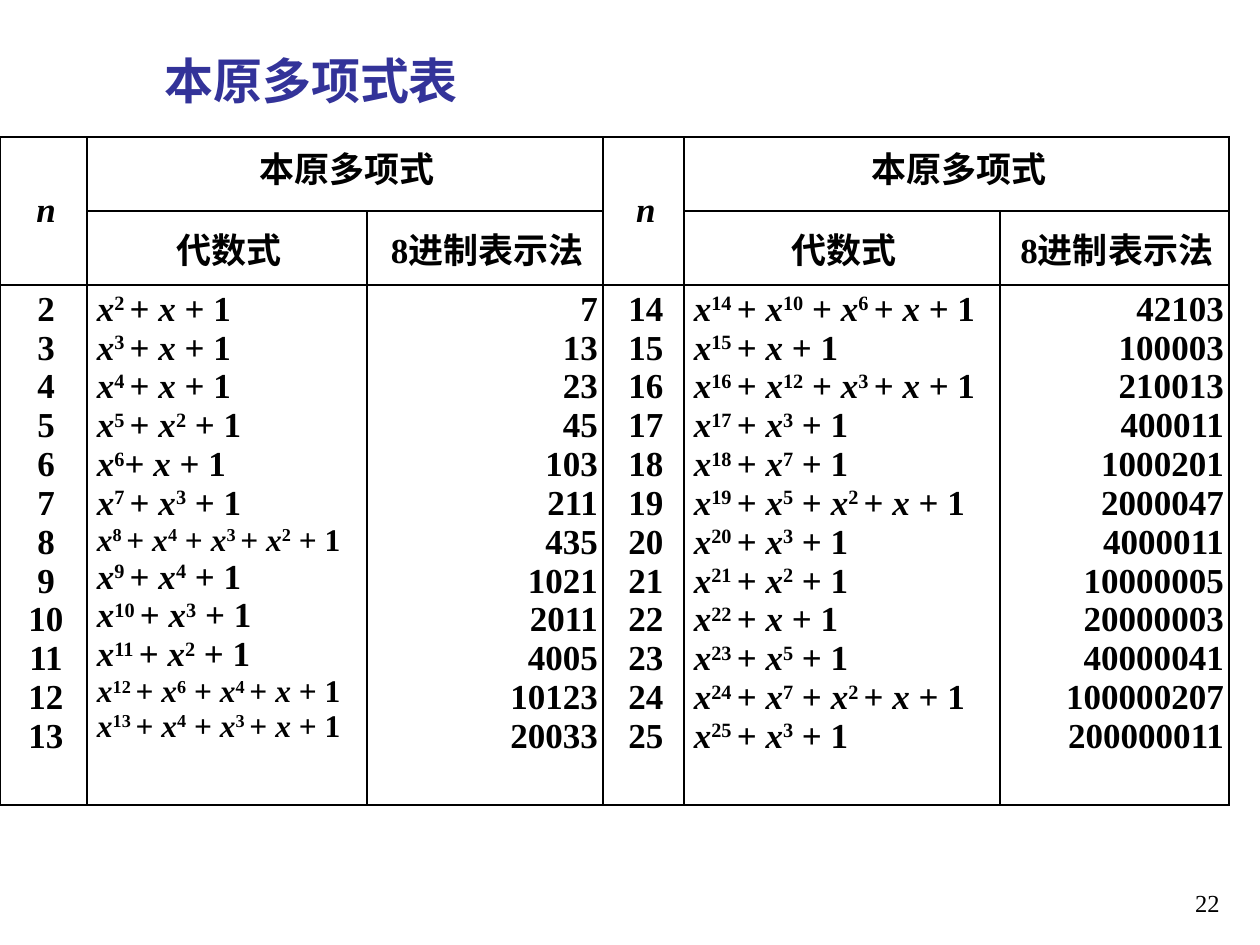
from typing import NamedTuple

from pptx import Presentation
from pptx.dml.color import RGBColor
from pptx.enum.text import MSO_ANCHOR as Anchor, MSO_AUTO_SIZE as Fit, PP_ALIGN as Align
from pptx.oxml.ns import qn
from pptx.util import Emu, Pt
from lxml.etree import SubElement, Element

SERIF, SANS = "Times New Roman", "Noto Sans CJK SC"
BLACK, WHITE, BLUE = "000000", "FFFFFF", "333399"
COLS = (87, 280, 236, 81, 316, 229)
ROWS = (74, 74, 520)


class Poly(NamedTuple):
    powers: tuple[int, ...]
    octal: str
    size: int = 20
    gap: str = " "


class Head(NamedTuple):
    row: int
    col: int
    text: str
    down: int = 0
    over: int = 0
    slant: bool = False
    anchor: Anchor = Anchor.MIDDLE


LEFT = (
    Poly((2, 1), "7"),
    Poly((3, 1), "13"),
    Poly((4, 1), "23"),
    Poly((5, 2), "45"),
    Poly((6, 1), "103", gap=""),
    Poly((7, 3), "211"),
    Poly((8, 4, 3, 2), "435", 18),
    Poly((9, 4), "1021"),
    Poly((10, 3), "2011"),
    Poly((11, 2), "4005"),
    Poly((12, 6, 4, 1), "10123", 18),
    Poly((13, 4, 3, 1), "20033", 18),
)
RIGHT = (
    Poly((14, 10, 6, 1), "42103"),
    Poly((15, 1), "100003"),
    Poly((16, 12, 3, 1), "210013"),
    Poly((17, 3), "400011"),
    Poly((18, 7), "1000201"),
    Poly((19, 5, 2, 1), "2000047"),
    Poly((20, 3), "4000011"),
    Poly((21, 2), "10000005"),
    Poly((22, 1), "20000003"),
    Poly((23, 5), "40000041"),
    Poly((24, 7, 2, 1), "100000207"),
    Poly((25, 3), "200000011"),
)


def px(n: int) -> Emu:
    return Emu(round(n * 914400 / 126))


def color(code: str) -> RGBColor:
    return RGBColor.from_string(code)


def style(para, size: int, align=Align.LEFT, bold=True, face=SERIF, ink=BLACK) -> None:
    para.alignment = align
    font = para.font
    font.size, font.bold, font.name = Pt(size), bold, face
    font.color.rgb = color(ink)
    SubElement(font._element, qn("a:ea"), typeface=SANS)


def write(frame, lines: list[str], align: Align, slant=False) -> None:
    for i, line in enumerate(lines):
        para = frame.paragraphs[0] if i == 0 else frame.add_paragraph()
        para.text = line
        style(para, 20, align)
        para.font.italic = slant


def add_run(para, text: str, slant=False, raised=False) -> None:
    run = para.add_run()
    run.text = text
    run.font.italic = slant
    if raised:
        run.font._element.set("baseline", "30000")


def write_polys(frame, polys: tuple[Poly, ...]) -> None:
    for i, poly in enumerate(polys):
        para = frame.paragraphs[0] if i == 0 else frame.add_paragraph()
        style(para, poly.size)
        for k, power in enumerate(poly.powers):
            add_run(para, "x", slant=True)
            last = k == len(poly.powers) - 1
            even = k % 2 == 0
            if power > 1:
                add_run(para, f"{power}{poly.gap if even else ''}", raised=True)
            add_run(para, " + 1" if last else "+ " if even else " + ")


def frame_cell(cell) -> None:
    cell.fill.solid()
    cell.fill.fore_color.rgb = color(WHITE)
    cell.margin_left = px(10)
    cell.margin_right = cell.margin_top = cell.margin_bottom = px(5)
    props = cell._tc.get_or_add_tcPr()
    for i, side in enumerate(("a:lnL", "a:lnR", "a:lnT", "a:lnB")):
        line = Element(qn(side), w=str(Pt(1)))
        fill = SubElement(line, qn("a:solidFill"))
        SubElement(fill, qn("a:srgbClr"), val=BLACK)
        props.insert(i, line)


def add_grid(slide) -> None:
    grid = slide.shapes.add_table(
        len(ROWS), len(COLS), px(0), px(137), px(sum(COLS)), px(sum(ROWS))
    ).table
    for col, wide in zip(grid.columns, COLS):
        col.width = px(wide)
    for row, high in zip(grid.rows, ROWS):
        row.height = px(high)
    for cell in grid.iter_cells():
        frame_cell(cell)
    for start, polys in ((0, LEFT), (3, RIGHT)):
        heads = (
            Head(0, start, "n", down=1, slant=True),
            Head(0, start + 1, "本原多项式", over=1, anchor=Anchor.TOP),
            Head(1, start + 1, "代数式"),
            Head(1, start + 2, "8进制表示法"),
        )
        for head in heads:
            cell = grid.cell(head.row, head.col)
            if head.down or head.over:
                cell.merge(grid.cell(head.row + head.down, head.col + head.over))
            cell.vertical_anchor = head.anchor
            write(cell.text_frame, [head.text], Align.CENTER, head.slant)
        count, terms, octal = (grid.cell(2, start + k).text_frame for k in range(3))
        write(count, [str(poly.powers[0]) for poly in polys], Align.CENTER)
        write_polys(terms, polys)
        write(octal, [poly.octal for poly in polys], Align.RIGHT)


def add_box(slide, x: int, y: int, w: int, h: int, text: str):
    frame = slide.shapes.add_textbox(px(x), px(y), px(w), px(h)).text_frame
    frame.word_wrap = True
    frame.text = text
    return frame


def main() -> None:
    deck = Presentation()
    deck.slide_width, deck.slide_height = px(1260), px(945)
    slide = deck.slides.add_slide(deck.slide_layouts[6])
    page = add_box(slide, 970, 861, 262, 63, "22")
    page.vertical_anchor = Anchor.BOTTOM
    style(page.paragraphs[0], 14, Align.RIGHT, bold=False)
    add_grid(slide)
    title = add_box(slide, 152, 44, 527, 72, "本原多项式表")
    title.auto_size = Fit.SHAPE_TO_FIT_TEXT
    style(title.paragraphs[0], 28, face=SANS, ink=BLUE)
    deck.save("out.pptx")


if __name__ == "__main__":
    main()
